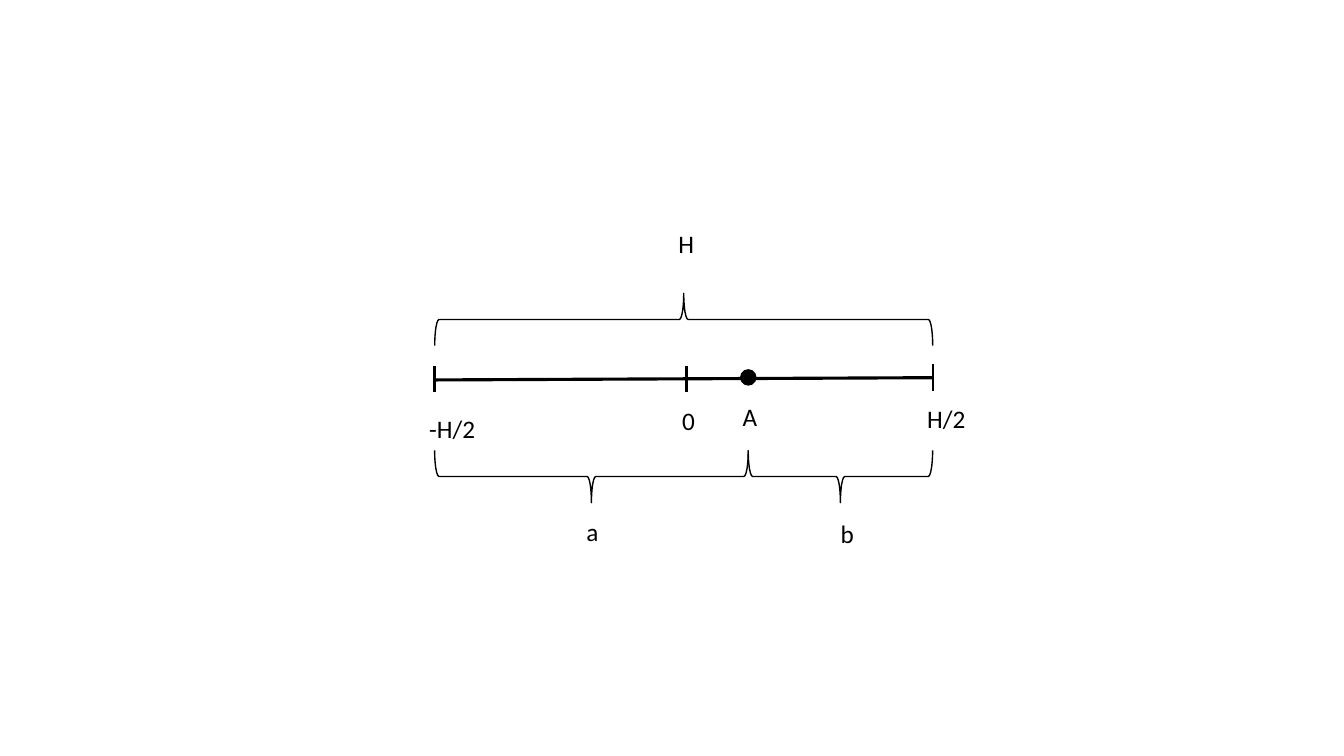
"""Draw a segment of length H split by point A into parts a and b."""
from typing import NamedTuple

from lxml.etree import SubElement
from pptx import Presentation
from pptx.dml.color import RGBColor
from pptx.enum.shapes import MSO_CONNECTOR as Connector, MSO_SHAPE as Preset
from pptx.enum.text import MSO_AUTO_SIZE as AutoSize
from pptx.oxml.ns import qn
from pptx.util import Pt

COLORS = {"ink": "000000"}
INK = RGBColor.from_string(COLORS["ink"])
FONT = "Calibri"
LEFT_END, ZERO, POINT_A, RIGHT_END = 310.5, 490.3, 534.5, 666.2
UPPER_BRACE, LOWER_BRACE = 228.2, 340.3
BRACE_DEPTH = 37.4
DOT_CENTER, DOT_SIZE = 269.6, 10.8
LABEL_WIDTH, LABEL_HEIGHT = 62, 29


class Line(NamedTuple):
    start_x: float
    start_y: float
    end_x: float
    end_y: float
    weight: float


class Brace(NamedTuple):
    start: float
    end: float
    middle: float
    rotation: int


class Label(NamedTuple):
    text: str
    left: float
    top: float


LINES = [
    Line(LEFT_END, 271.4, RIGHT_END, 269.8, 2.25),
    Line(LEFT_END, 261.4, LEFT_END, 280.1, 2.25),
    Line(RIGHT_END, 260.2, RIGHT_END, 279.2, 1.5),
    Line(ZERO, 261.4, ZERO, 280.1, 2.25),
]
BRACES = [
    Brace(LEFT_END, RIGHT_END, UPPER_BRACE, 90),
    Brace(LEFT_END, POINT_A, LOWER_BRACE, 270),
    Brace(POINT_A, RIGHT_END, LOWER_BRACE, 270),
]
LABELS = [
    Label("H", 477.4, 159.8),
    Label("-H/2", 299.5, 291.6),
    Label("0", 480.2, 286),
    Label("A", 523.4, 283),
    Label("H/2", 655.2, 284.4),
    Label("a", 411.8, 365.2),
    Label("b", 593.3, 366.5),
]


def draw_line(page, line: Line) -> None:
    """Draw a straight line without a shadow."""
    connector = page.shapes.add_connector(
        Connector.STRAIGHT, Pt(line.start_x), Pt(line.start_y),
        Pt(line.end_x), Pt(line.end_y))
    connector.line.color.rgb = INK
    connector.line.width = Pt(line.weight)
    SubElement(connector._element.spPr, qn("a:effectLst"))


def draw_brace(page, brace: Brace) -> None:
    """Draw a brace turned to lie along the segment."""
    length = brace.end - brace.start
    center = (brace.start + brace.end) / 2
    shape = page.shapes.add_shape(
        Preset.LEFT_BRACE, Pt(center - BRACE_DEPTH / 2),
        Pt(brace.middle - length / 2), Pt(BRACE_DEPTH), Pt(length))
    shape.rotation = brace.rotation
    shape.shadow.inherit = False
    shape.fill.background()
    shape.line.color.rgb = INK
    shape.line.width = Pt(1)


def draw_point(page) -> None:
    """Draw the dot for point A."""
    dot = page.shapes.add_shape(
        Preset.OVAL, Pt(POINT_A - DOT_SIZE / 2), Pt(DOT_CENTER - DOT_SIZE / 2),
        Pt(DOT_SIZE), Pt(DOT_SIZE))
    dot.shadow.inherit = False
    dot.fill.solid()
    dot.fill.fore_color.rgb = INK
    dot.line.color.rgb = INK
    dot.line.width = Pt(1)


def draw_label(page, label: Label) -> None:
    """Draw a text label."""
    box = page.shapes.add_textbox(
        Pt(label.left), Pt(label.top), Pt(LABEL_WIDTH), Pt(LABEL_HEIGHT))
    box.text_frame.word_wrap = True
    box.text_frame.auto_size = AutoSize.SHAPE_TO_FIT_TEXT
    span = box.text_frame.paragraphs[0].add_run()
    span.text = label.text
    span.font.name = FONT
    span.font.size = Pt(18)
    span.font.color.rgb = INK


def main() -> None:
    """Build and save the deck."""
    deck = Presentation()
    deck.slide_width, deck.slide_height = Pt(960), Pt(540)
    page = deck.slides.add_slide(deck.slide_layouts[6])
    for line in LINES:
        draw_line(page, line)
    for brace in BRACES:
        draw_brace(page, brace)
    draw_point(page)
    for label in LABELS:
        draw_label(page, label)
    deck.save("out.pptx")


main()
